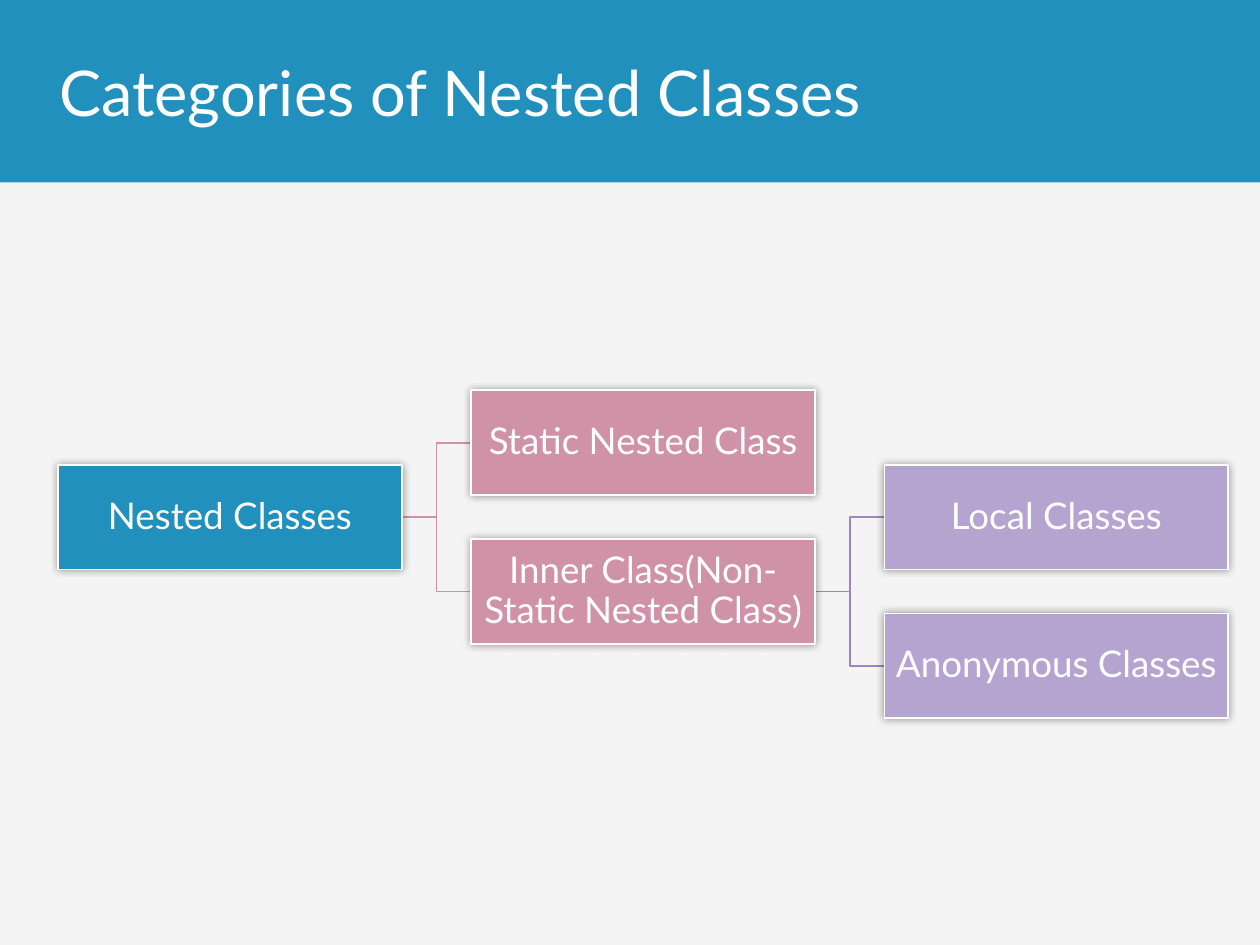
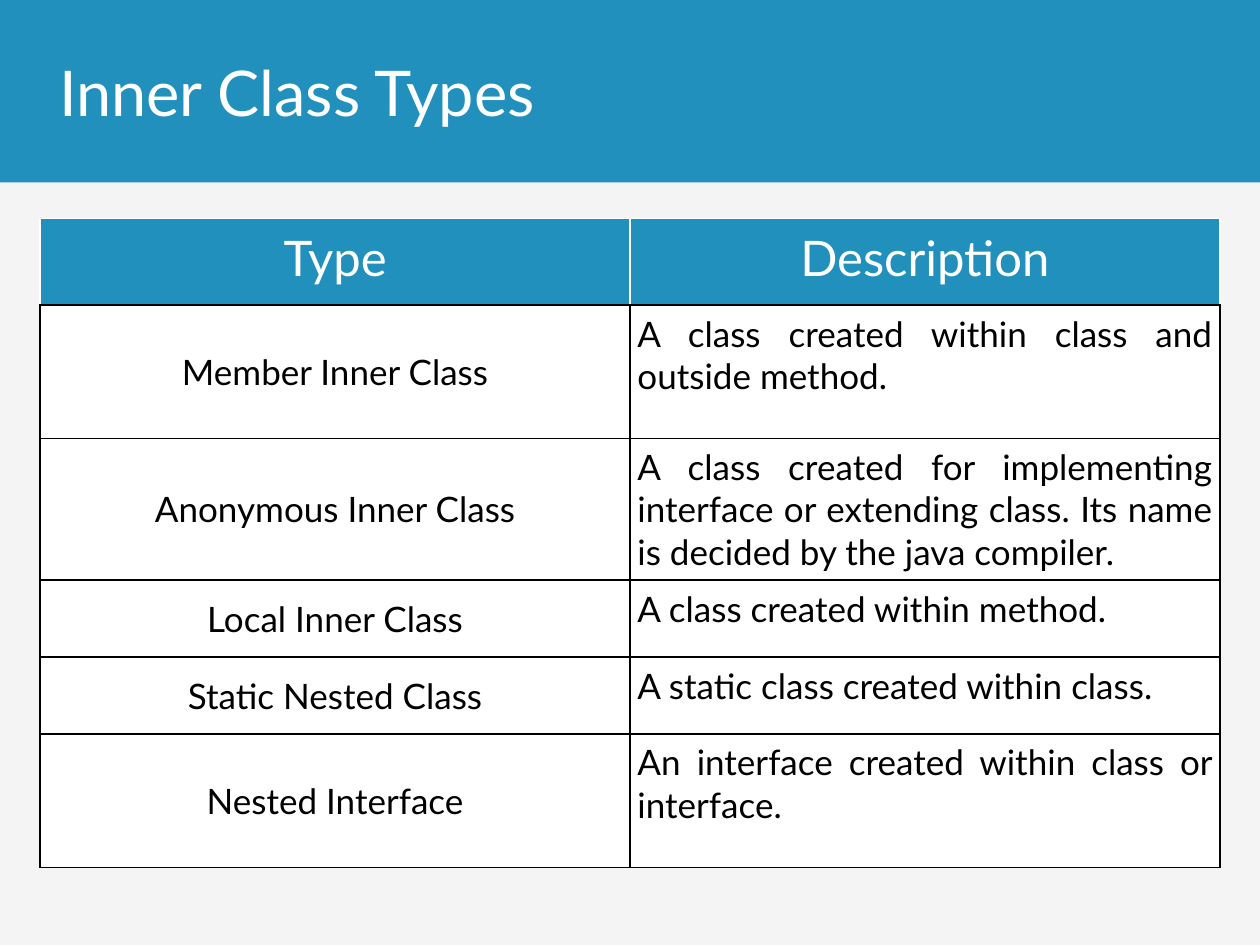
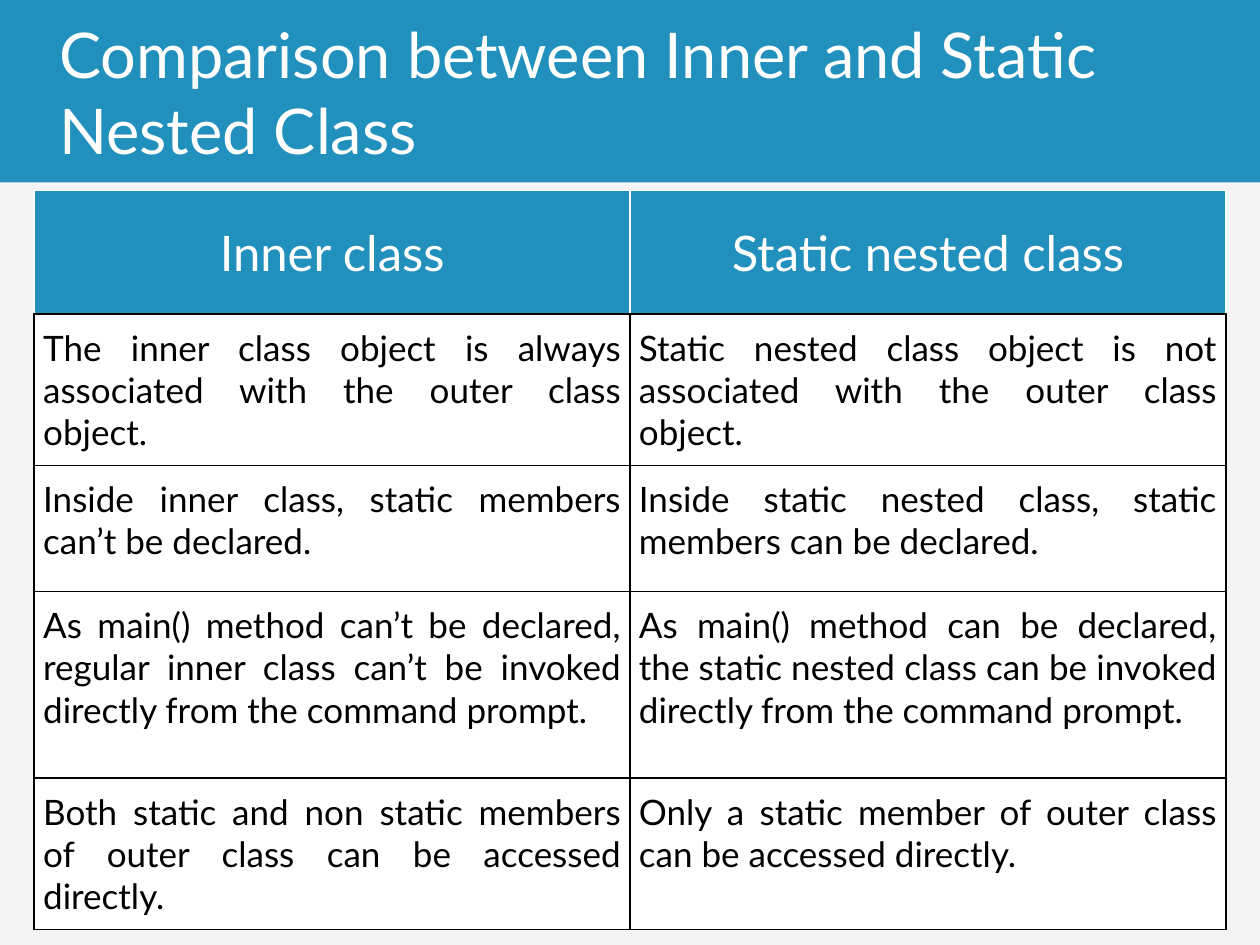
from lxml import etree
from pptx import Presentation
from pptx.dml.color import RGBColor
from pptx.enum.shapes import MSO_CONNECTOR, MSO_SHAPE
from pptx.enum.text import MSO_ANCHOR, MSO_AUTO_SIZE, PP_ALIGN
from pptx.oxml.ns import qn
from pptx.util import Cm, Pt

RECT = MSO_SHAPE.RECTANGLE
ELBOW = MSO_CONNECTOR.ELBOW
TOP, MIDDLE = MSO_ANCHOR.TOP, MSO_ANCHOR.MIDDLE
LEFT, CENTER, JUSTIFY = PP_ALIGN.LEFT, PP_ALIGN.CENTER, PP_ALIGN.JUSTIFY
NO_AUTOFIT = MSO_AUTO_SIZE.NONE

BLUE = RGBColor(0x21, 0x90, 0xBC)
PINK = RGBColor(0xD0, 0x92, 0xA7)
LILAC = RGBColor(0xB5, 0xA4, 0xD0)
PURPLE = RGBColor(0x9C, 0x85, 0xC0)
PALE = RGBColor(0xF4, 0xF4, 0xF5)
WHITE = RGBColor(0xFF, 0xFF, 0xFF)
BLACK = RGBColor(0x00, 0x00, 0x00)

FONT = "Lato"
SLIDE_W, SLIDE_H, BAND_H = Cm(25.4), Cm(19.05), Cm(3.68)
TITLE_ONLY = 5
BACK = 2  # first drawing position in a shape tree
RIGHT_SIDE, LEFT_SIDE = 3, 1

NODE_W, NODE_H = Cm(6.93), Cm(2.11)
NODE_LEFT, NODE_TOP = Cm(1.17), Cm(7.87)
COLUMN_STEP, ROW_STEP = Cm(8.33), Cm(1.5)

# name: (text, column, row, fill, parent, connector colour)
NODES = {
    "nested": ("Nested Classes", 0, 1, BLUE, None, None),
    "static": ("Static Nested Class", 1, 0, PINK, "nested", PINK),
    "inner": ("Inner Class(Non-Static Nested Class)", 1, 2, PINK, "nested", PINK),
    "local": ("Local Classes", 2, 1, LILAC, "inner", PURPLE),
    "anonymous": ("Anonymous Classes", 2, 3, LILAC, "inner", PURPLE),
}

INNER_TYPES = [
    ("Type", "Description"),
    ("Member Inner Class", "A class created within class and outside method."),
    ("Anonymous Inner Class",
     "A class created for implementing interface or extending class. "
     "Its name is decided by the java compiler."),
    ("Local Inner Class", "A class created within method."),
    ("Static Nested Class", "A static class created within class."),
    ("Nested Interface", "An interface created within class or interface."),
]

COMPARISON = [
    ("Inner class", "Static nested class"),
    ("The inner class object is always associated with the outer class object.",
     "Static nested class object is not associated with the outer class object."),
    ("Inside inner class, static members can’t be declared.",
     "Inside static nested class, static members can be declared."),
    ("As main() method can’t be declared, regular inner class can’t be "
     "invoked directly from the command prompt.",
     "As main() method can be declared, the static nested class can be "
     "invoked directly from the command prompt."),
    ("Both static and non static members of outer class can be accessed directly.",
     "Only a static member of outer class can be accessed directly."),
]


def set_all(obj, values):
    for name, value in values.items():
        setattr(obj, name, value)


def margins(x, y):
    return {"margin_left": Cm(x), "margin_right": Cm(x),
            "margin_top": Cm(y), "margin_bottom": Cm(y)}


def cell_format(x, y, anchor, align):
    return {**margins(x, y), "vertical_anchor": anchor}, align


class Deck:
    def __init__(self):
        self.prs = Presentation()
        set_all(self.prs, {"slide_width": SLIDE_W, "slide_height": SLIDE_H})
        self.master = self.prs.slide_master
        fill = self.master.background.fill
        fill.solid()
        fill.fore_color.rgb = PALE
        self.slide = None

    def new_slide(self, title):
        first = self.slide is None
        self.slide = self.prs.slides.add_slide(self.prs.slide_layouts[TITLE_ONLY])
        if first:
            self.master_band()
        sp = self.slide.shapes.title
        set_all(sp, {"left": Cm(0.94), "top": 0, "width": Cm(21.9), "height": BAND_H})
        set_all(sp.text_frame, {"vertical_anchor": MIDDLE, "word_wrap": True,
                                "auto_size": NO_AUTOFIT})
        self.put_text(sp.text_frame, title, 36, WHITE, LEFT)

    def master_band(self):
        """Draw the title band and move it to the master, behind its placeholders."""
        band = self.box(0, 0, SLIDE_W, BAND_H, BLUE)
        band.line.fill.background()
        self.master.shapes.element.insert(BACK, band.element)

    def put_text(self, tf, text, size, color, align):
        tf.text = text
        p = tf.paragraphs[0]
        p.alignment = align
        font = p.runs[0].font
        set_all(font, {"name": FONT, "size": Pt(size), "bold": False})
        font.color.rgb = color
        return p

    def box(self, left, top, width, height, color):
        sp = self.slide.shapes.add_shape(RECT, left, top, width, height)
        sp.shadow.inherit = False
        sp.fill.solid()
        sp.fill.fore_color.rgb = color
        return sp

    def node(self, text, column, row, color):
        sp = self.box(NODE_LEFT + column * COLUMN_STEP, NODE_TOP + row * ROW_STEP,
                      NODE_W, NODE_H, color)
        sp.line.color.rgb = WHITE
        sp.line.width = Pt(1)
        self.glow_shadow(sp)
        tf = sp.text_frame
        set_all(tf, {**margins(0.03, 0.03), "vertical_anchor": MIDDLE, "word_wrap": True})
        self.put_text(tf, text, 21, WHITE, CENTER).line_spacing = 0.9
        return sp

    def glow_shadow(self, sp):
        """Soft black shadow spreading evenly around the shape."""
        effects = sp.element.spPr.find(qn("a:effectLst"))
        shadow = etree.SubElement(effects, qn("a:outerShdw"), blurRad=str(Pt(5)),
                                  dist="0", dir="0", algn="ctr", rotWithShape="0")
        black = etree.SubElement(shadow, qn("a:srgbClr"), val=str(BLACK))
        etree.SubElement(black, qn("a:alpha"), val="40000")

    def link(self, parent, child, color):
        cxn = self.slide.shapes.add_connector(ELBOW, 0, 0, 0, 0)
        cxn.begin_connect(parent, RIGHT_SIDE)
        cxn.end_connect(child, LEFT_SIDE)
        cxn.line.color.rgb = color
        cxn.line.width = Pt(1)
        etree.SubElement(cxn.element.spPr, qn("a:effectLst"))
        self.slide.shapes.element.insert(BACK, cxn.element)

    def table(self, rows, left, top, column_w, heights, header, columns):
        """Place a two-column table; header and columns hold cell formats."""
        frame = self.slide.shapes.add_table(len(rows), 2, left, top,
                                            2 * column_w, Cm(sum(heights)))
        tbl = frame.table
        tbl.horz_banding = False
        for column in tbl.columns:
            column.width = column_w
        for i, (texts, height) in enumerate(zip(rows, heights)):
            tbl.rows[i].height = Cm(height)
            for j, text in enumerate(texts):
                if i == 0:
                    self.cell(tbl.cell(i, j), text, header, 28, WHITE, BLUE)
                else:
                    self.cell(tbl.cell(i, j), text, columns[j], 20, BLACK, WHITE)

    def cell(self, cell, text, cell_style, size, color, fill):
        """Fill one cell; its borders take the text colour, the bottom one is black."""
        values, align = cell_style
        set_all(cell, values)
        self.put_text(cell.text_frame, text, size, color, align)
        tc_pr = cell._tc.get_or_add_tcPr()
        edges = {"a:lnL": color, "a:lnR": color, "a:lnT": color, "a:lnB": BLACK}
        for tag, edge_color in edges.items():
            ln = etree.SubElement(tc_pr, qn(tag), w=str(Pt(1)))
            solid = etree.SubElement(ln, qn("a:solidFill"))
            etree.SubElement(solid, qn("a:srgbClr"), val=str(edge_color))
        cell.fill.solid()
        cell.fill.fore_color.rgb = fill


def categories_slide(deck):
    deck.new_slide("Categories of Nested Classes")
    shapes = {name: deck.node(text, column, row, color)
              for name, (text, column, row, color, _, _) in NODES.items()}
    for name, (*_, parent, color) in NODES.items():
        if parent:
            deck.link(shapes[parent], shapes[name], color)


def types_slide(deck):
    deck.new_slide("Inner Class Types")
    deck.table(INNER_TYPES, Cm(0.81), Cm(4.4), Cm(11.89),
               [1.75, 2.69, 2.67, 1.55, 1.55, 2.69],
               cell_format(0.2, 0.2, TOP, CENTER),
               [cell_format(0.15, 0.15, MIDDLE, CENTER),
                cell_format(0.15, 0.15, TOP, JUSTIFY)])


def comparison_slide(deck):
    deck.new_slide("Comparison between Inner and Static Nested Class")
    deck.table(COMPARISON, Cm(0.69), Cm(3.84), Cm(12.01),
               [2.49, 2.95, 2.54, 3.76, 2.95],
               cell_format(0.18, 0.18, MIDDLE, CENTER),
               [cell_format(0.18, 0.25, TOP, JUSTIFY)] * 2)


def main():
    deck = Deck()
    categories_slide(deck)
    types_slide(deck)
    comparison_slide(deck)
    deck.prs.save("out.pptx")


if __name__ == "__main__":
    main()
